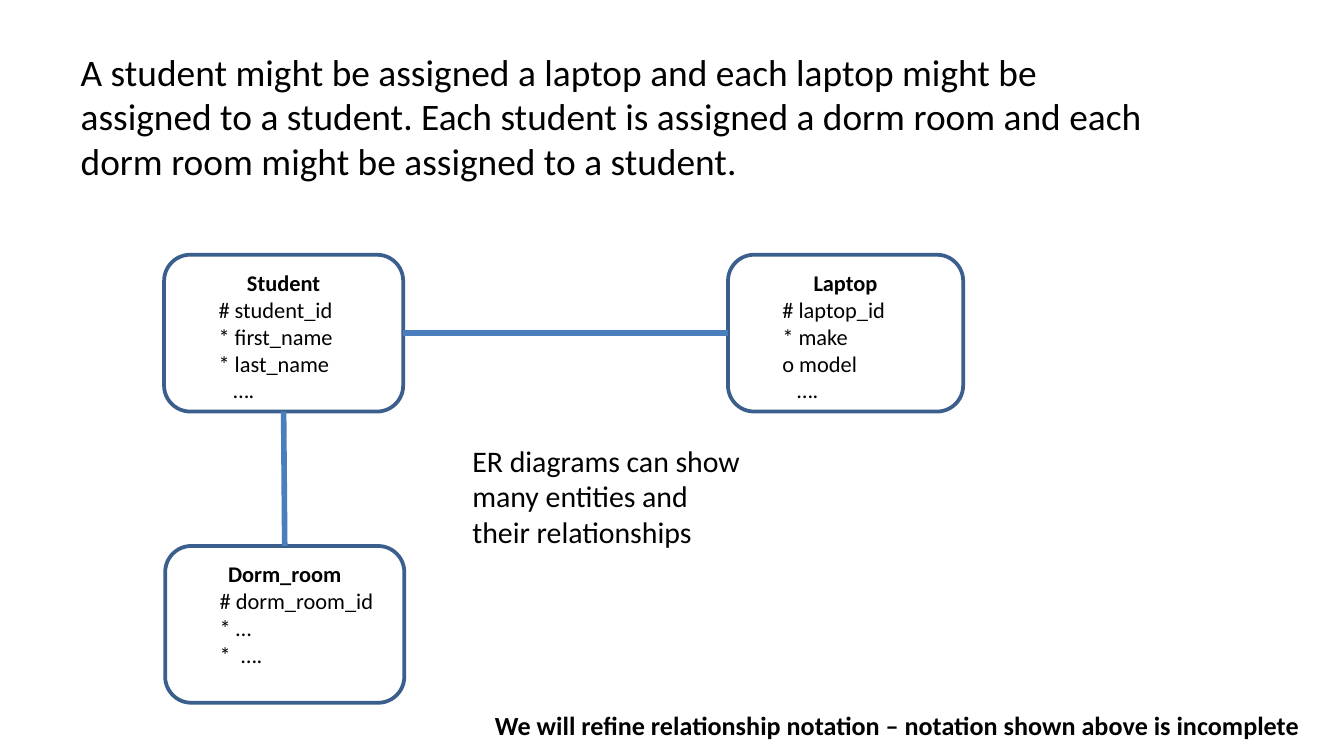
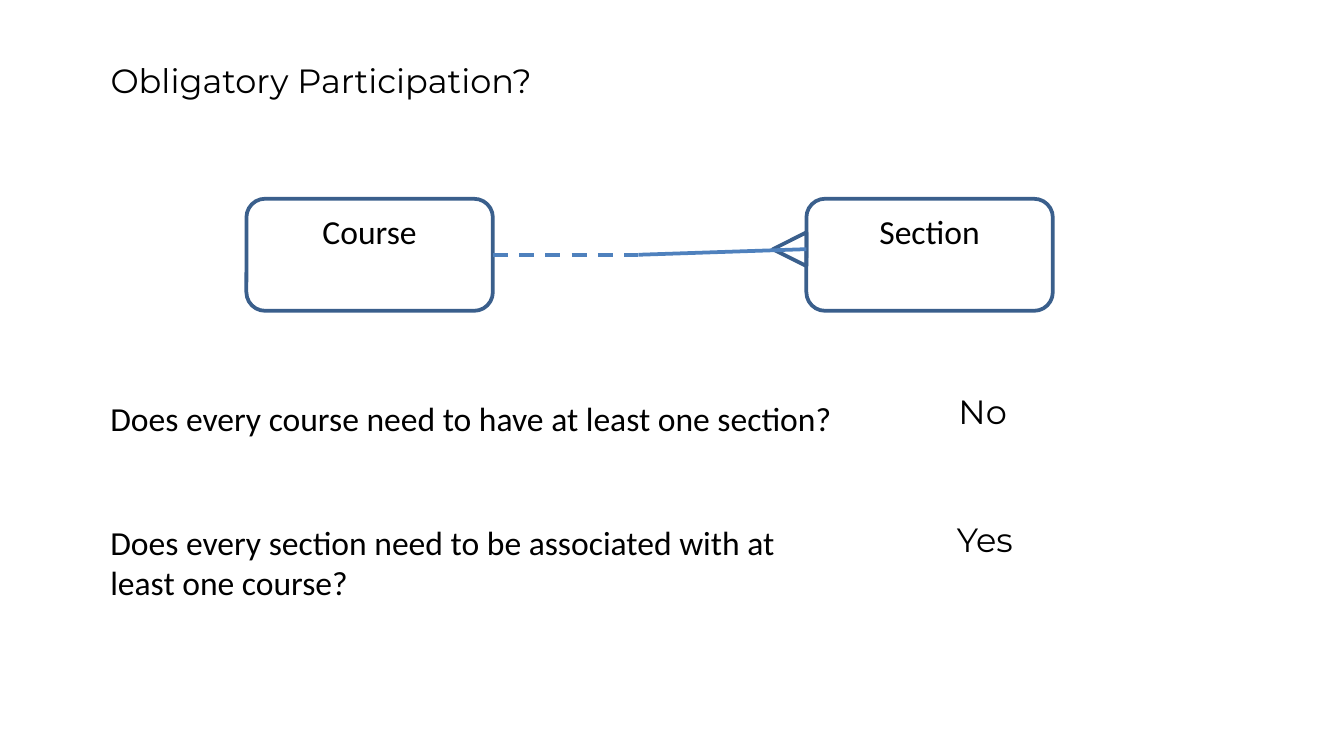
from lxml import etree
from pptx import Presentation
from pptx.dml.color import RGBColor
from pptx.enum.dml import MSO_LINE
from pptx.enum.shapes import MSO_CONNECTOR, MSO_SHAPE
from pptx.enum.text import MSO_ANCHOR, MSO_AUTO_SIZE, PP_ALIGN
from pptx.oxml.ns import qn
from pptx.util import Inches, Pt

STRAIGHT = MSO_CONNECTOR.STRAIGHT
ROUNDED = MSO_SHAPE.ROUNDED_RECTANGLE
TRIANGLE = MSO_SHAPE.ISOSCELES_TRIANGLE
DASH = MSO_LINE.DASH
TOP = MSO_ANCHOR.TOP
LEFT, CENTER = PP_ALIGN.LEFT, PP_ALIGN.CENTER
GROW = MSO_AUTO_SIZE.SHAPE_TO_FIT_TEXT
SIDE_TOP, SIDE_LEFT, SIDE_BOTTOM, SIDE_RIGHT = range(4)

COLORS = {"text": "000000", "outline": "3A5F8C", "relation": "4B7EBC", "crow": "4F81BD"}

deck = Presentation()
deck.slide_width, deck.slide_height = Inches(10), Inches(5.625)
COLUMN = deck.slide_width / 120
ROW = deck.slide_height / 67.5
TITLE_ONLY = deck.slide_layouts[5]


def write(box, area, lines, size, name="Calibri", bold=False, align=LEFT, wrap=True, grow=True):
    units = (COLUMN, ROW, COLUMN, ROW)
    for side, cells, unit in zip(("left", "top", "width", "height"), area, units):
        setattr(box, side, round(cells * unit))
    frame = box.text_frame
    frame.word_wrap = wrap
    frame.vertical_anchor = TOP
    if grow:
        frame.auto_size = GROW
    for index, (text, stops) in enumerate(lines):
        para = frame.paragraphs[0] if index == 0 else frame.add_paragraph()
        para.alignment = LEFT if stops else align
        if stops:
            tab_list = etree.SubElement(para._p.get_or_add_pPr(), qn("a:tabLst"))
            for stop in stops:
                etree.SubElement(tab_list, qn("a:tab"), pos=str(Inches(stop)), algn="l")
        span = para.add_run()
        span.text = text
        values = {"size": Pt(size), "name": name, "bold": bold and not stops}
        for key, value in values.items():
            setattr(span.font, key, value)
        span.font.color.rgb = RGBColor.from_string(COLORS["text"])


def outline(shape, color, width, dash=None):
    shape.line.color.rgb = RGBColor.from_string(COLORS[color])
    shape.line.width = Pt(width)
    if dash:
        shape.line.dash_style = dash
    if hasattr(shape, "fill"):
        shape.fill.background()
        shape.shadow.inherit = False
    else:
        etree.SubElement(shape._element.spPr, qn("a:effectLst"))


page = deck.slides.add_slide(TITLE_ONLY)
statement = (
    "A student might be assigned a laptop and each laptop might be assigned to a student. "
    "Each student is assigned a dorm room and each dorm room might be assigned to a student."
)
write(page.shapes.title, (6, 3.75, 100, 13.33), [(statement, ())], 20)

INDENT, DEEPER, SECOND = 0.25, 0.36, 0.41
more = ("\t….", (DEEPER,))
entities = {
    "Student": ((14.65, 22.75, 21.35, 14), [
        ("\t# student_id", (INDENT,)), ("\t* first_name", (INDENT,)),
        ("\t* last_name", (INDENT,)), more]),
    "Laptop": ((65, 22.75, 21, 14), [
        ("\t# laptop_id", (INDENT,)), ("\t* make", (INDENT,)),
        ("\to model", (INDENT,)), more]),
    "Dorm_room": ((14.75, 48.75, 21.35, 14), [
        ("\t# dorm_room_id", (INDENT,)), ("\t* …", (INDENT,)),
        ("\t*\t….", (INDENT, SECOND))]),
}
boxes = {}
for entity, (area, attributes) in entities.items():
    box = boxes[entity] = page.shapes.add_shape(ROUNDED, 0, 0, 0, 0)
    outline(box, "outline", 2)
    write(box, area, [(entity, ())] + attributes, 12, bold=True, align=CENTER, grow=False)

for target, start, end in (("Laptop", SIDE_RIGHT, SIDE_LEFT), ("Dorm_room", SIDE_BOTTOM, SIDE_TOP)):
    relation = page.shapes.add_connector(STRAIGHT, 0, 0, 0, 0)
    relation.begin_connect(boxes["Student"], start)
    relation.end_connect(boxes[target], end)
    outline(relation, "relation", 3)

for text, area, size, bold in (
    ("ER diagrams can show many entities and their relationships", (41, 38.9, 27, 10.9), 16, False),
    ("We will refine relationship notation – notation shown above is incomplete",
     (43, 62.75, 77, 4), 14, True),
):
    write(page.shapes.add_textbox(0, 0, 0, 0), area, [(text, ())], size, bold=bold)

page = deck.slides.add_slide(TITLE_ONLY)
MARGIN = 8.67
write(page.shapes.title, (MARGIN, 4.75, 76, 4.85), [("Obligatory Participation?", ())], 18, "Montserrat")

for entity, left in (("Course", 22), ("Section", 72)):
    box = boxes[entity] = page.shapes.add_shape(ROUNDED, 0, 0, 0, 0)
    outline(box, "outline", 2)
    write(box, (left, 17.75, 22, 10), [(entity, ())], 18, align=CENTER, grow=False)

for text, area, name, wrap in (
    ("Does every course need to have at least one section?", (MARGIN, 34.9, 68.4, 4.85), "Calibri", False),
    ("Does every section need to be associated with at least one course?",
     (MARGIN, 46, 67.4, 8.5), "Calibri", True),
    ("No", (84.4, 34.3, 7.7, 4.85), "Montserrat", True),
    ("Yes", (84.25, 45.7, 9.7, 4.85), "Montserrat", True),
):
    write(page.shapes.add_textbox(0, 0, 0, 0), area, [(text, ())], 18, name, wrap=wrap)

foot = page.shapes.add_shape(
    TRIANGLE, round(69 * COLUMN), round(20.75 * ROW), round(3 * COLUMN), round(3 * ROW))
foot.rotation = 270
outline(foot, "outline", 2)

middle = round(57 * COLUMN), round(22.75 * ROW)
optional = page.shapes.add_connector(STRAIGHT, 0, 0, *middle)
optional.begin_connect(boxes["Course"], SIDE_RIGHT)
outline(optional, "crow", 2, DASH)
mandatory = page.shapes.add_connector(STRAIGHT, round(72 * COLUMN), round(22.25 * ROW), *middle)
outline(mandatory, "crow", 2)

deck.save("out.pptx")
